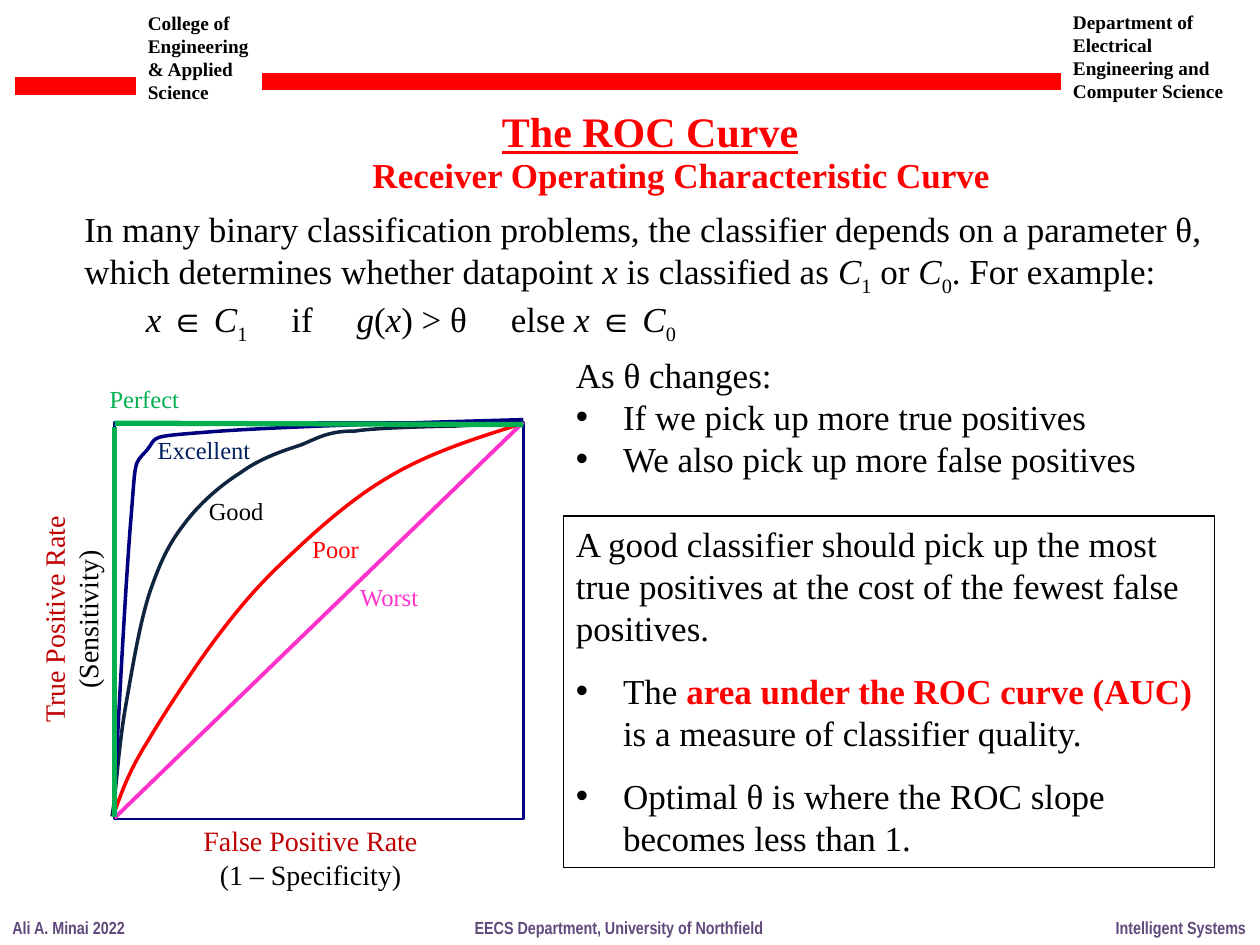
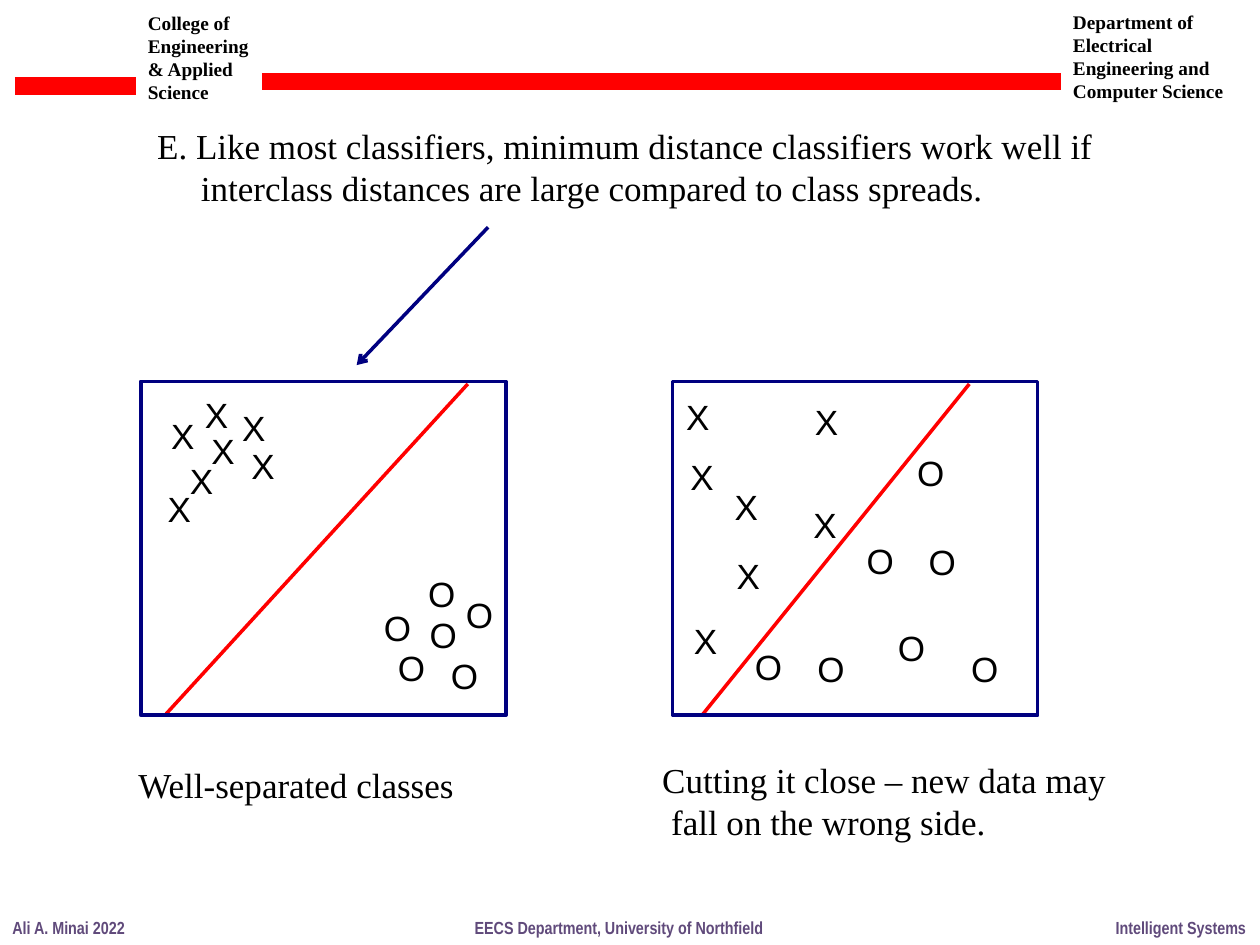
from lxml import etree
from pptx import Presentation
from pptx import util as u
from pptx.dml.color import RGBColor
from pptx.enum import shapes, text
from pptx.oxml.ns import qn

BLACK = RGBColor(0x00, 0x00, 0x00)
RED = RGBColor(0xFF, 0x00, 0x00)
DARK_RED = RGBColor(0xC0, 0x00, 0x00)
NAVY = RGBColor(0x00, 0x00, 0x80)
DEEP_BLUE = RGBColor(0x00, 0x20, 0x60)
SLATE = RGBColor(0x0F, 0x24, 0x3E)
PINK = RGBColor(0xFF, 0x33, 0xCC)
GREEN = RGBColor(0x00, 0xB0, 0x50)
PURPLE = RGBColor(0x60, 0x4A, 0x7B)
STRAIGHT = shapes.MSO_CONNECTOR.STRAIGHT
RECTANGLE = shapes.MSO_SHAPE.RECTANGLE

ITALIC = {"italic": True}
SUB = {"baseline": -25000}
WIDE_GAP = (" ", {"spc": 2000})
CENTER = {"alignment": text.PP_ALIGN.CENTER}
BULLET = {"margin": 0.95, "first": -0.95, "bullet": "•"}
SPACED_BULLET = {**BULLET, "space_before": u.Pt(12)}


def write(frame, paragraphs, wrap=False, **base):
    """Fill a frame; a paragraph is a string or (runs, layout), a run is a string or (string, format)."""
    frame.word_wrap = wrap
    frame.vertical_anchor = text.MSO_ANCHOR.TOP
    for number, item in enumerate(paragraphs):
        runs, layout = item if isinstance(item, tuple) else ([item], {})
        layout = {"alignment": text.PP_ALIGN.LEFT, **layout}
        paragraph = frame.add_paragraph() if number else frame.paragraphs[0]
        properties = paragraph._p.get_or_add_pPr()
        for key, value in layout.items():
            if key in ("margin", "first"):
                properties.set({"margin": "marL", "first": "indent"}[key], str(u.Cm(value)))
            elif key == "bullet":
                etree.SubElement(properties, qn("a:buFont"), typeface="Arial")
                etree.SubElement(properties, qn("a:buChar"), char=value)
            else:
                setattr(paragraph, key, value)
        for part in runs:
            words, changes = part if isinstance(part, tuple) else (part, {})
            run = paragraph.add_run()
            run.text = words
            looks = {"name": "Times New Roman", "size": 20, "color": BLACK, **base, **changes}
            run.font.color.rgb = looks.pop("color")
            looks["size"] = u.Pt(looks["size"])
            for key, value in looks.items():
                if key in ("baseline", "spc"):
                    run._r.get_or_add_rPr().set(key, str(value))
                else:
                    setattr(run.font, key, value)


def outline(shape, color, width):
    """Give a shape or connector a plain line, with no fill and no shadow."""
    shape.line.color.rgb = color
    shape.line.width = u.Pt(width)
    if hasattr(shape, "fill"):
        shape.fill.background()
        shape.shadow.inherit = False
    else:
        etree.SubElement(shape._element.spPr, qn("a:effectLst"))


deck = Presentation()
deck.slide_width, deck.slide_height = u.Cm(25.4), u.Cm(19.05)
blank = deck.slide_layouts[6]
roc, spread = [deck.slides.add_slide(blank).shapes for _ in range(2)]

# Header and footer on both slides
header_texts = [
    ((2.73, 0.1, 2.77, 2.13), ["College of Engineering & Applied", "Science"]),
    ((21.38, 0.08, 3.73, 2.13), ["Department of Electrical Engineering and Computer Science"]),
]
header_bars = [(0.3, 1.73, 2.74, 1.73), (5.28, 1.64, 21.38, 1.64)]
footers = [
    (0, 2.79, "Ali A. Minai 2022"),
    (22.24, 3.15, "Intelligent Systems"),
    (9.32, 6.4, "EECS Department, University of Northfield"),
]
for canvas in (roc, spread):
    for box, lines in header_texts:
        write(canvas.add_textbox(*map(u.Cm, box)).text_frame, lines, wrap=True, size=11, bold=True)
    for ends in header_bars:
        outline(canvas.add_connector(STRAIGHT, *map(u.Cm, ends)), RED, 10)
    for left, width, words in footers:
        box = canvas.add_textbox(u.Cm(left), u.Cm(18.36), u.Cm(width), u.Cm(0.69))
        write(box.text_frame, [words], name="Arial Narrow", size=10, bold=True, color=PURPLE)

# Slide 1: headings and introduction
title = roc.add_textbox(*map(u.Cm, (9.83, 2.01, 6.55, 1.27)))
write(title.text_frame, [(["The ROC Curve"], CENTER)], size=24, color=RED, bold=True, underline=True)
subtitle = roc.add_textbox(*map(u.Cm, (7.26, 2.97, 13.06, 1.12)))
write(subtitle.text_frame, ["Receiver Operating Characteristic Curve"], color=RED, bold=True)

x, c, g = [(letter, ITALIC) for letter in "xCg"]
class_1, class_0 = [c, ("1", SUB)], [c, ("0", SUB)]
intro = roc.add_textbox(*map(u.Cm, (1.45, 4.06, 23.39, 2.82)))
write(intro.text_frame, [
    "In many binary classification problems, the classifier depends on a parameter θ,",
    (["which determines whether datapoint ", x, " is classified as ", *class_1, " or ", *class_0,
      ". For example:"], {}),
    ([x, " ∈ ", *class_1, WIDE_GAP, "if", WIDE_GAP, g, "(", x, ") > θ", WIDE_GAP,
      "else ", x, " ∈ ", *class_0], {"margin": 1.24, "first": 0}),
], wrap=True)

# Slide 1: the ROC plot
axes = [
    ((3.81, 16.48, 4.9, 1.63), 0, "False Positive Rate", "(1 – Specificity)"),
    ((-0.94, 11.67, 4.75, 1.63), 270, "True Positive Rate", "(Sensitivity)"),
]
for box, angle, rate, meaning in axes:
    axis = roc.add_textbox(*map(u.Cm, box))
    axis.rotation = angle
    write(axis.text_frame, [([(rate, {"color": DARK_RED})], CENTER), ([meaning], CENTER)], size=16)

outline(roc.add_shape(RECTANGLE, *map(u.Cm, (2.31, 8.51, 8.24, 8))), NAVY, 1.5)
outline(roc.add_connector(STRAIGHT, *map(u.Cm, (2.31, 16.49, 10.55, 8.51))), PINK, 2.25)

# Each curve is a start point, then two control points and an end point per segment
good = [
    (2.26, 16.46), (2.26, 16.46), (2.29, 16.26), (2.29, 16.26),
    (2.34, 15.88), (2.41, 14.91), (2.54, 14.2), (2.67, 13.46), (2.82, 12.55), (3.02, 11.94),
    (3.23, 11.33), (3.4, 10.97), (3.71, 10.57), (4.01, 10.16), (4.45, 9.78), (4.85, 9.53),
    (5.23, 9.25), (5.69, 9.09), (6.07, 8.97), (6.45, 8.81), (6.63, 8.69), (7.16, 8.69),
    (7.67, 8.61), (9.17, 8.59), (9.17, 8.59), (9.17, 8.59), (10.52, 8.51), (10.52, 8.51),
]
poor = [
    (2.29, 16.43), (2.44, 16), (2.59, 15.57), (2.95, 14.99), (3.3, 14.4), (3.89, 13.49),
    (4.37, 12.85), (4.83, 12.24), (5.21, 11.79), (5.79, 11.25), (6.38, 10.69), (7.11, 10.03),
    (7.9, 9.58), (8.69, 9.12), (9.58, 8.84), (10.46, 8.56),
]
excellent = [
    (2.29, 16.41), (2.41, 14.05), (2.54, 11.68), (2.64, 10.46), (2.74, 9.25), (2.69, 9.37),
    (2.95, 9.09), (3.2, 8.79), (2.92, 8.81), (4.19, 8.71), (5.44, 8.61), (8, 8.53), (10.55, 8.46),
]
for curve, color in ((good, SLATE), (poor, RED), (excellent, NAVY)):
    start, *rest = [tuple(map(u.Cm, point)) for point in curve]
    builder = roc.build_freeform(*start)
    builder.add_line_segments(rest, close=False)
    curve_shape = builder.convert_to_shape()
    outline(curve_shape, color, 2)
    # Turn every three straight steps into one Bézier segment
    track = curve_shape._element.find(".//" + qn("a:path"))
    steps = track.findall(qn("a:lnTo"))
    for first in range(0, len(steps), 3):
        bend = etree.SubElement(track, qn("a:cubicBezTo"))
        for step in steps[first:first + 3]:
            bend.append(step[0])
            track.remove(step)

for ends in ((2.31, 16.46, 2.31, 8.61), (10.55, 8.56, 2.31, 8.53)):
    outline(roc.add_connector(STRAIGHT, *map(u.Cm, ends)), GREEN, 3)

curve_labels = [
    ("Worst", 7.01, 11.61, 1.7, PINK),
    ("Excellent", 2.93, 8.64, 2.39, DEEP_BLUE),
    ("Good", 3.96, 9.88, 1.63, BLACK),
    ("Poor", 6.05, 10.64, 1.45, RED),
    ("Perfect", 1.96, 7.62, 1.93, GREEN),
]
for words, left, top, width, color in curve_labels:
    label = roc.add_textbox(*map(u.Cm, (left, top, width, 0.86)))
    write(label.text_frame, [words], size=14, color=color)

# Slide 1: remarks
changes_note = roc.add_textbox(*map(u.Cm, (11.36, 7.01, 11.99, 2.82)))
write(changes_note.text_frame, [
    "As θ changes:",
    (["If we pick up more true positives"], BULLET),
    (["We also pick up more false positives"], BULLET),
], wrap=True)
advice = roc.add_shape(RECTANGLE, *map(u.Cm, (11.36, 10.4, 13.13, 7.09)))
outline(advice, BLACK, 0.75)
write(advice.text_frame, [
    "A good classifier should pick up the most true positives at the cost of the fewest false positives.",
    (["The ", ("area under the ROC curve (AUC)", {"color": RED, "bold": True}),
      " is a measure of classifier quality."], SPACED_BULLET),
    (["Optimal θ is where the ROC slope becomes less than 1."], SPACED_BULLET),
], wrap=True)

# Slide 2: statement and captions
statements = [
    ((2.92, 2.39, 19.66, 1.96), [
        "E. Like most classifiers, minimum distance classifiers work well if",
        (["interclass distances are large compared to class spreads."], {"margin": 0.88, "first": 0})]),
    ((2.54, 15.27, 6.91, 1.12), ["Well-separated classes"]),
    ((13.1, 15.16, 9.53, 1.96), [
        "Cutting it close – new data may",
        (["fall on the wrong side."], {"margin": 0.18, "first": 0})]),
]
for box, lines in statements:
    write(spread.add_textbox(*map(u.Cm, box)).text_frame, lines)

# Slide 2: data points of both classes, left panel then right panel
class_points = {
    "X": [(4.01, 8.54), (3.2, 8.24), (3.58, 9.14), (3.88, 7.8), (4.63, 8.06), (4.82, 8.84), (3.13, 9.7),
          (13.58, 7.85), (13.67, 9.06), (16.18, 7.95), (14.56, 9.66), (13.74, 12.37), (16.15, 10.03),
          (14.6, 11.05)],
    "O": [(8.41, 12.24), (8.84, 13.06), (7.77, 12.9), (9.14, 11.84), (7.49, 12.11), (8.38, 11.41),
          (17.85, 12.5), (18.47, 10.78), (19.33, 12.93), (16.23, 12.93), (18.24, 8.97), (17.22, 10.75),
          (14.97, 12.89)],
}
for (mark, points), width in zip(class_points.items(), (0.99, 1.07)):
    for left, top in points:
        point = spread.add_textbox(*map(u.Cm, (left, top, width, 1.12)))
        write(point.text_frame, [mark], name="Arial")

# Slide 2: pointer, class boundaries and panels
pointer = spread.add_connector(STRAIGHT, *map(u.Cm, (9.84, 4.58, 7.19, 7.36)))
outline(pointer, NAVY, 2)
etree.SubElement(pointer.line._get_or_add_ln(), qn("a:tailEnd"), type="arrow")
for boundary in ((3.35, 14.39, 9.43, 7.74), (14.15, 14.42, 19.54, 7.74)):
    outline(spread.add_connector(STRAIGHT, *map(u.Cm, boundary)), RED, 2)
for left in (2.84, 13.56):
    outline(spread.add_shape(RECTANGLE, *map(u.Cm, (left, 7.69, 7.36, 6.73))), NAVY, 2)

deck.save("out.pptx")
